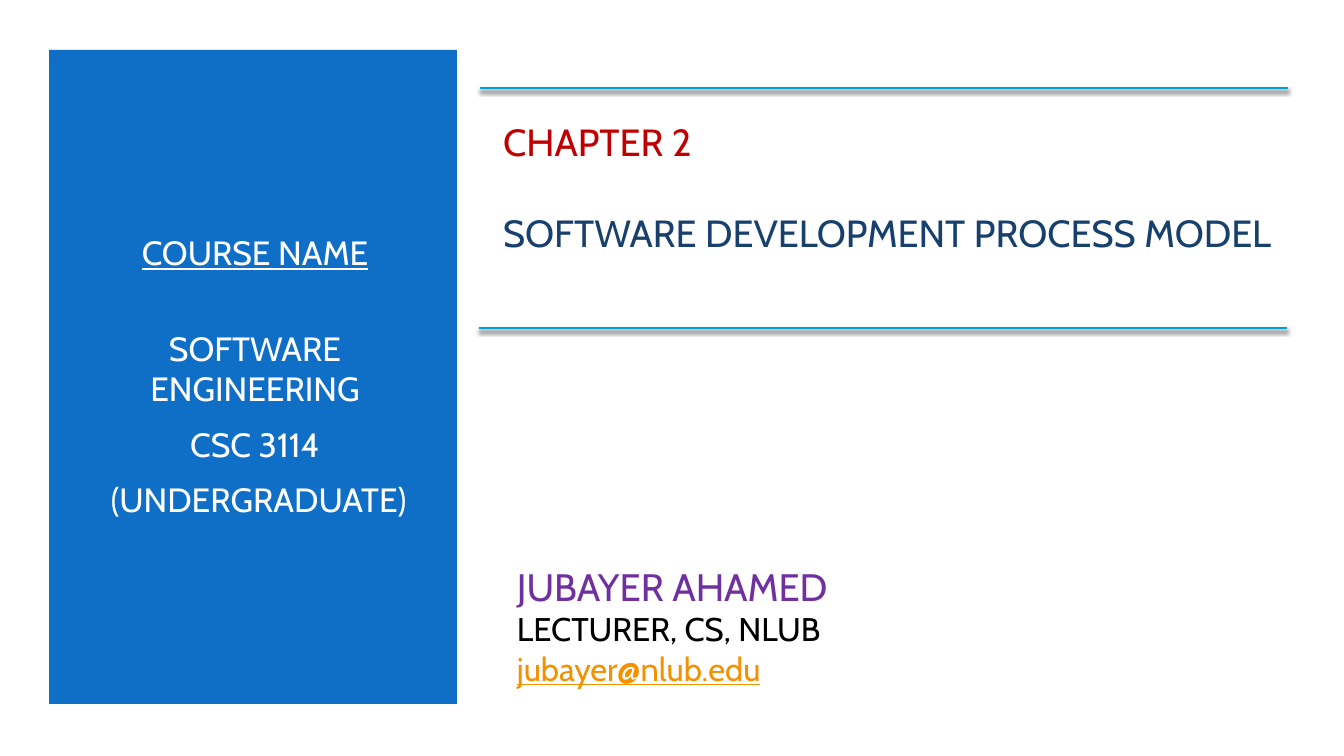
from lxml import etree
from pptx import Presentation
from pptx.dml.color import RGBColor
from pptx.enum.shapes import MSO_CONNECTOR as CONN, MSO_SHAPE as SHAPE
from pptx.enum.text import MSO_ANCHOR as ANCHOR, MSO_AUTO_SIZE as AUTO, PP_ALIGN as ALIGN
from pptx.oxml import parse_xml
from pptx.util import Pt

FONT = "Cabin"
WHITE = RGBColor(0xFF, 0xFF, 0xFF)
BLACK = RGBColor(0, 0, 0)
BLUE = RGBColor(0x0F, 0x6F, 0xC6)
NAVY = RGBColor(0x17, 0x40, 0x6D)
RED = RGBColor(0xC0, 0, 0)
PURPLE = RGBColor(0x70, 0x30, 0xA0)
ORANGE = RGBColor(0xF4, 0x91, 0)
CYAN = RGBColor(0, 0x9D, 0xD9)

# Paragraphs: text, size, colour, underline, space before, space after (pt)
COURSE = [
    ("COURSE NAME", 24, WHITE, True, 4.8, 35),
    ("SOFTWARE ENGINEERING", 24, WHITE, False, 4.8, 6),
    ("CSC 3114", 24, WHITE, False, 4.8, 6),
    (" (UNDERGRADUATE)", 24, WHITE, False, 4.8, 6),
]
CHAPTER = [
    ("CHAPTER 2", 27, RED, False, 0, 33),
    ("SOFTWARE DEVELOPMENT PROCESS MODEL", 27, NAVY, False, 0, 0),
]
AUTHOR = [
    ("JUBAYER AHAMED", 27.3, PURPLE, False, 0, 0),
    ("LECTURER, CS, NLUB", 23.4, BLACK, False, 0, 0),
    ("jubayer@nlub.edu", 23.4, ORANGE, True, 0, 0),
]

# Boxes: left, top, width, height in px
PANEL_BOX = (49, 50, 408, 654)
COURSE_BOX = (85, 111, 340, 529)
CHAPTER_BOX = (493, 111, 792, 152)
AUTHOR_BOX = (507, 547, 671, 157)
RULES = [(480, 88), (479, 328)]  # left, top
RULE_LENGTH = 808

SHADOW = (
    '<a:effectLst xmlns:a="http://schemas.openxmlformats.org/drawingml/2006/main">'
    '<a:outerShdw blurRad="38100" dist="25400" dir="5400000" rotWithShape="0">'
    '<a:srgbClr val="000000"><a:alpha val="55000"/></a:srgbClr>'
    '</a:outerShdw></a:effectLst>'
)


def px(n):
    return round(n * 914400 / 100.8)


def place(sp, box):
    sp.left, sp.top, sp.width, sp.height = map(px, box)


def write(sp, paragraphs, align):
    tf = sp.text_frame
    tf.word_wrap = True
    tf.auto_size = AUTO.NONE
    tf.vertical_anchor = ANCHOR.MIDDLE
    for i, (text, size, color, underline, before, after) in enumerate(paragraphs):
        p = tf.add_paragraph() if i else tf.paragraphs[0]
        p.alignment = align
        p.space_before, p.space_after = Pt(before), Pt(after)
        r = p.add_run()
        r.text = text
        r.font.name, r.font.size = FONT, Pt(size)
        r.font.color.rgb = color
        r.font.underline = underline


prs = Presentation()
prs.slide_width, prs.slide_height = px(1344), px(756)
s = prs.slides.add_slide(prs.slide_layouts[0])

# Blue panel, behind the course text
panel = s.shapes.add_shape(SHAPE.RECTANGLE, *map(px, PANEL_BOX))
panel.shadow.inherit = False
panel.fill.solid()
panel.fill.fore_color.rgb = BLUE
panel.line.fill.background()
s.shapes._spTree.insert(2, panel._element)

# Course, chapter and author
course = s.placeholders[1]
place(course, COURSE_BOX)
write(course, COURSE, ALIGN.CENTER)

chapter = s.shapes.title
place(chapter, CHAPTER_BOX)
write(chapter, CHAPTER, ALIGN.LEFT)

author = s.shapes.add_textbox(*map(px, AUTHOR_BOX))
write(author, AUTHOR, ALIGN.LEFT)

# Shadowed rules around the chapter title
for left, top in RULES:
    rule = s.shapes.add_connector(
        CONN.STRAIGHT, px(left), px(top), px(left + RULE_LENGTH), px(top))
    rule.line.color.rgb = CYAN
    rule.line.width = Pt(2)
    rule._element.spPr.append(parse_xml(SHADOW))

prs.save("out.pptx")
